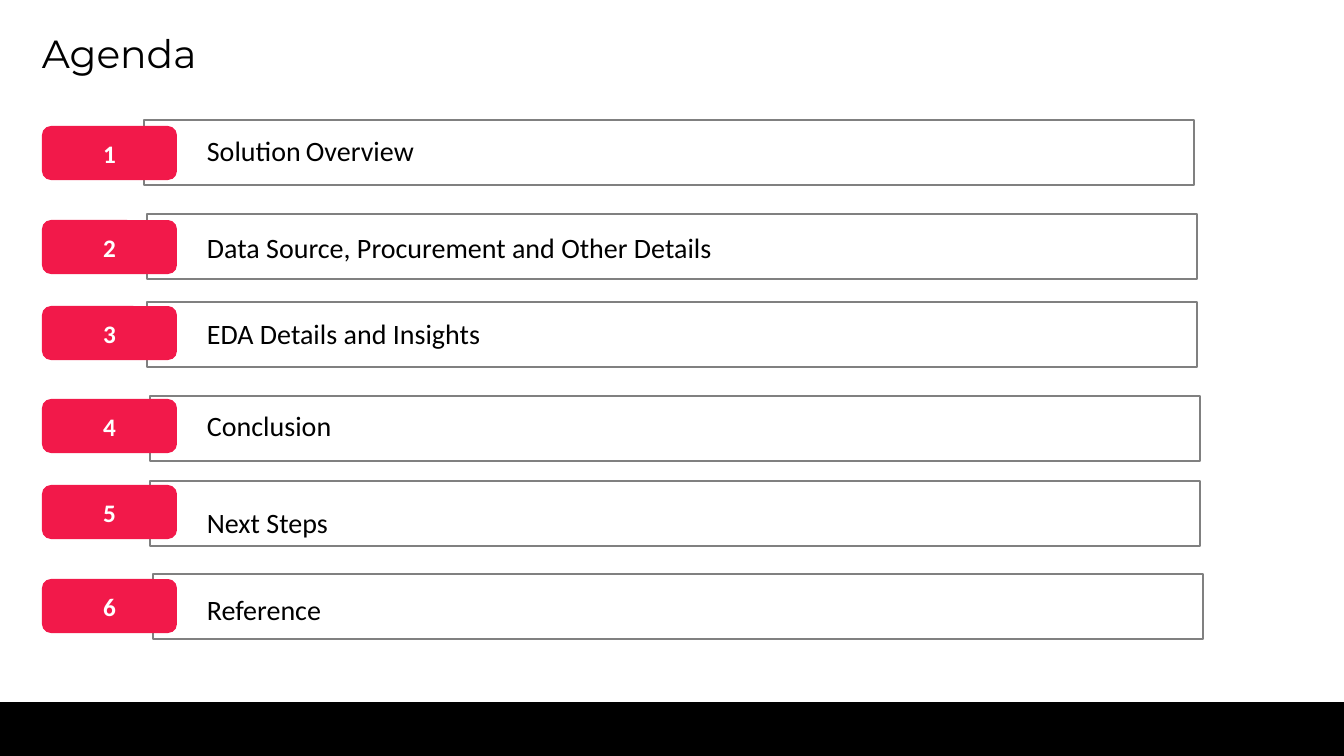
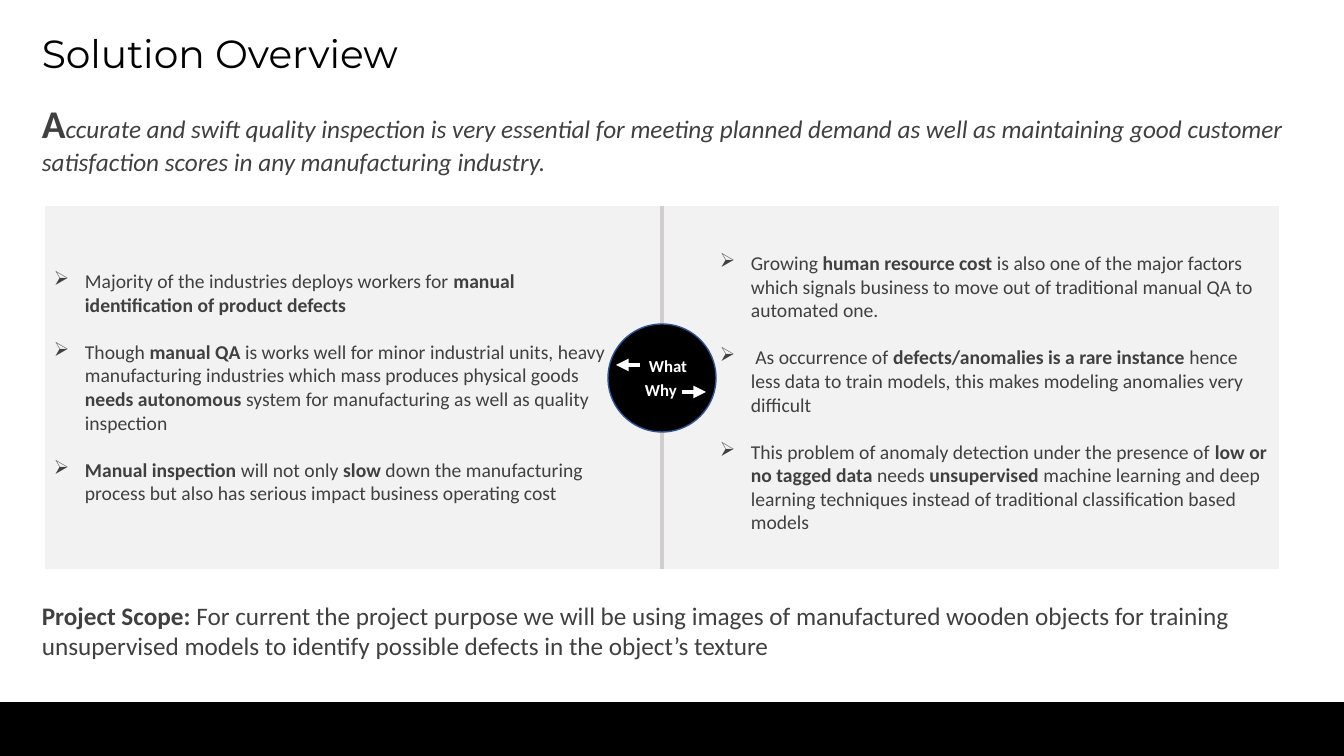
from dataclasses import dataclass

from pptx import Presentation
from pptx import util as u
from pptx.dml.color import RGBColor
from pptx.enum import shapes, text
from pptx.oxml import ns, xmlchemy

PX = 914400 / 100.8


def px(length):
    return u.Emu(round(length * PX))


def add_child(parent, tag, **attributes):
    child = xmlchemy.OxmlElement(tag)
    for name, value in attributes.items():
        child.set(name, value)
    parent.append(child)


@dataclass(frozen=True)
class Theme:
    black: str = "000000"
    white: str = "FFFFFF"
    grey_text: str = "404040"
    outline: str = "808080"
    accent: str = "F2194A"
    panel: str = "F2F2F2"
    divider: str = "D0CECE"
    hub_line: str = "325491"
    title_font: str = "Montserrat"
    body_font: str = "Calibri"
    title: int = 28
    label: int = 20
    gap: int = 16
    lead: int = 18
    bullet: int = 14
    small: int = 12


THEME = Theme()


def marked(source):
    return [(part, {"bold": index % 2 == 1}) for index, part in enumerate(source.split("**")) if part]


def write(frame, paragraphs, *, size, color, font=THEME.body_font, bold=False, italic=False,
          align=None, anchor=text.MSO_ANCHOR.TOP, line_spacing=None, space_before=0, bullet=None, indent=31):
    frame.word_wrap = True
    frame.vertical_anchor = anchor
    for index, spans in enumerate(paragraphs):
        para = frame.paragraphs[0] if index == 0 else frame.add_paragraph()
        para.alignment = align
        para.line_spacing = line_spacing
        if index:
            para.space_before = u.Pt(space_before)
        if bullet:
            properties = para._p.get_or_add_pPr()
            properties.set("marL", str(px(indent)))
            properties.set("indent", str(-px(indent)))
            add_child(properties, "a:buChar", char=bullet)
        for words, changes in [(spans, {})] if isinstance(spans, str) else spans:
            span = para.add_run()
            span.text = words
            span.font.name = font
            span.font.size = u.Pt(changes.get("size", size))
            span.font.bold = changes.get("bold", bold)
            span.font.italic = changes.get("italic", italic)
            span.font.color.rgb = RGBColor.from_string(color)


class Slides:
    def __init__(self, theme):
        self.theme = theme
        self.deck = Presentation()
        self.deck.slide_width, self.deck.slide_height = px(1344), px(756)
        self.page = None

    def start(self, title):
        self.page = self.deck.slides.add_slide(self.deck.slide_layouts[6])
        self.shape((0, 703, 1344, 53), fill=self.theme.black, line=self.theme.black)
        self.text((32, 23, 771, 59), [title], size=self.theme.title, color=self.theme.black,
                  font=self.theme.title_font, anchor=text.MSO_ANCHOR.BOTTOM, line_spacing=0.9)

    def group(self):
        return self.page.shapes.add_group_shape().shapes

    def shape(self, place, kind=shapes.MSO_SHAPE.RECTANGLE, fill=None, line=None, parent=None):
        box = (parent or self.page.shapes).add_shape(kind, *map(px, place))
        box.shadow.inherit = False
        if fill:
            box.fill.solid()
            box.fill.fore_color.rgb = RGBColor.from_string(fill)
        else:
            box.fill.background()
        if line:
            box.line.color.rgb = RGBColor.from_string(line)
            box.line.width = u.Pt(1)
        else:
            box.line.fill.background()
        return box

    def text(self, place, paragraphs, parent=None, **style):
        box = (parent or self.page.shapes).add_textbox(*map(px, place))
        write(box.text_frame, paragraphs, **style)

    def line(self, start, end, color, width, arrow=False, parent=None):
        link = (parent or self.page.shapes).add_connector(
            shapes.MSO_CONNECTOR.STRAIGHT, *map(px, start + end))
        link.line.color.rgb = RGBColor.from_string(color)
        link.line.width = u.Pt(width)
        if arrow:
            add_child(link._element.spPr.find(ns.qn("a:ln")), "a:tailEnd", type="triangle")
        add_child(link._element.spPr, "a:effectLst")

    def badge(self, place, caption):
        box = self.shape(place, shapes.MSO_SHAPE.ROUNDED_RECTANGLE, fill=self.theme.accent)
        write(box.text_frame, [caption], size=self.theme.lead, color=self.theme.white, bold=True,
              align=text.PP_ALIGN.CENTER, anchor=text.MSO_ANCHOR.MIDDLE)

    def bullets(self, place, items):
        self.text(place, [marked(item) for item in items], size=self.theme.bullet,
                  color=self.theme.grey_text, space_before=17, bullet="➢")


AGENDA = [
    ([("Solution", {}), (" ", {"size": THEME.gap}), ("Overview", {})], 144, 120, 126, 123),
    ("Data Source, Procurement and Other Details", 147, 214, 220, 220),
    ("EDA Details and Insights", 147, 302, 306, 306),
    ("Conclusion", 150, 396, 399, 398),
    ("Next Steps", 150, 481, 485, 495),
    ("Reference", 153, 574, 579, 582),
]

WHAT = [
    "Majority of the industries deploys workers for **manual identification of product defects**",
    "Though **manual QA **is works well for minor industrial units, heavy manufacturing industries "
    "which mass produces physical goods **needs autonomous** system for manufacturing as well as "
    "quality inspection",
    "**Manual inspection **will not only **slow** down the manufacturing process but also has "
    "serious impact business operating cost",
]

WHY = [
    "Growing **human resource cost **is also one of the major factors which signals business to "
    "move out of traditional manual QA to automated one.",
    " As occurrence of **defects/anomalies is a rare instance **hence less data to train models, "
    "this makes modeling anomalies very difficult",
    "This problem of anomaly detection under the presence of **low or no tagged data** needs "
    "**unsupervised** machine learning and deep learning techniques instead of traditional "
    "classification based models",
]


def agenda(slides):
    slides.start("Agenda")
    for number, (topic, frame_left, frame_top, badge_top, label_top) in enumerate(AGENDA, 1):
        slides.shape((frame_left, frame_top, 1050, 65), line=THEME.outline)
        slides.badge((42, badge_top, 135, 54), str(number))
        slides.text((197, label_top, 771, 59), [topic], size=THEME.label, color=THEME.black,
                    anchor=text.MSO_ANCHOR.MIDDLE, line_spacing=0.9)


def overview(slides):
    slides.start("Solution Overview")
    lead = {"size": THEME.lead, "color": THEME.grey_text}
    opening = [
        ("A", {"size": THEME.title, "bold": True, "italic": False}),
        ("ccurate and swift quality inspection is very essential for meeting planned demand as "
         "well as maintaining good customer satisfaction scores in any manufacturing industry.", {}),
    ]
    slides.text((32, 94, 1267, 90), [opening], italic=True, **lead)
    scope = ("**Project Scope:** For current the project purpose we will be using images of "
             "manufactured wooden objects for training unsupervised models to identify possible "
             "defects in the object’s texture")
    slides.text((32, 595, 1267, 75), [marked(scope)], **lead)

    left, middle, top, height = 45, 662, 206, 363
    for panel_left in (left, middle):
        slides.shape((panel_left, top, middle - left, height), fill=THEME.panel)
    slides.line((middle, top), (middle, top + height), THEME.divider, 2.25)

    hub = slides.group()
    slides.shape((608, 324, 108, 108), shapes.MSO_SHAPE.OVAL, fill=THEME.black,
                 line=THEME.hub_line, parent=hub)
    for caption, caption_left, caption_top, start, tip, arrow_y in (
            ("What", 639, 351, 640, 616, 365), ("Why", 635, 375, 682, 706, 392)):
        slides.text((caption_left, caption_top, 64, 30), [caption], parent=hub, size=THEME.small,
                    color=THEME.white, bold=True)
        slides.line((start, arrow_y), (tip, arrow_y), THEME.white, 3, arrow=True, parent=hub)

    slides.bullets((44, 264, 582, 248), WHAT)
    slides.bullets((710, 246, 569, 295), WHY)


def main():
    slides = Slides(THEME)
    agenda(slides)
    overview(slides)
    slides.deck.save("out.pptx")


if __name__ == "__main__":
    main()
